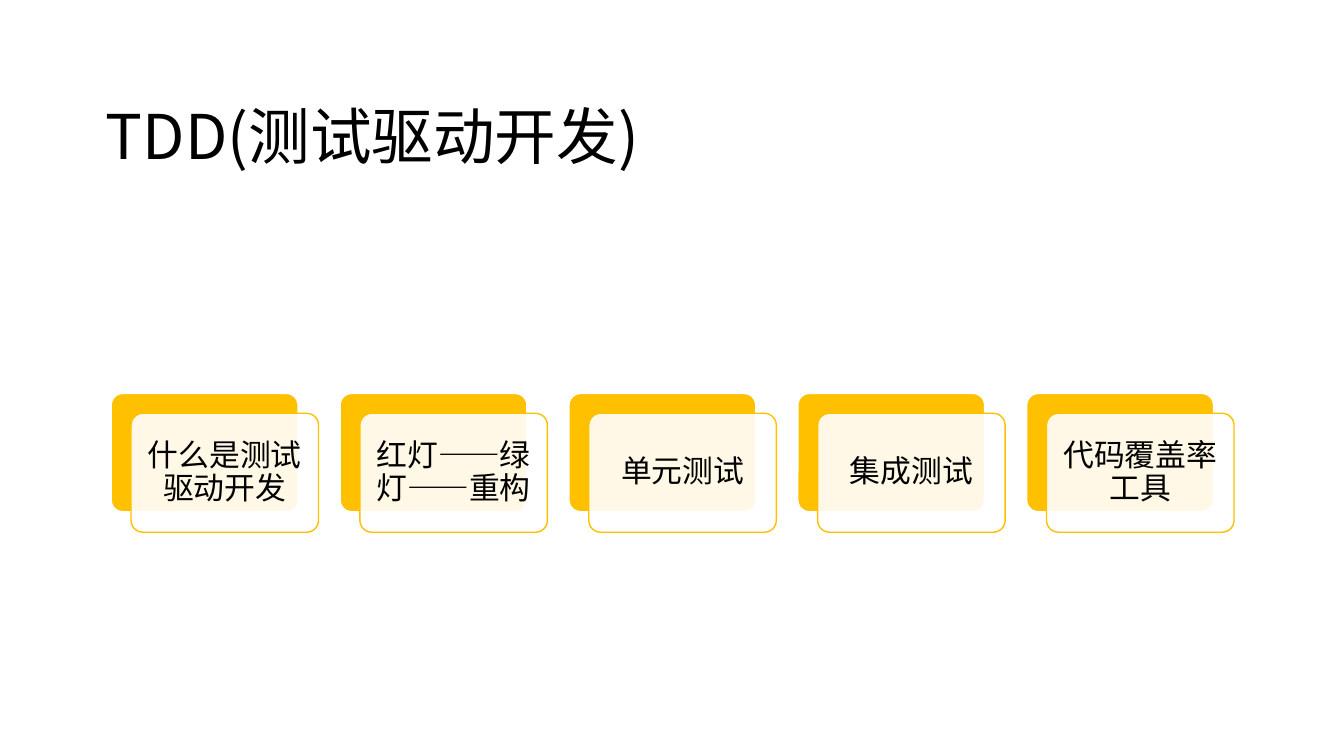
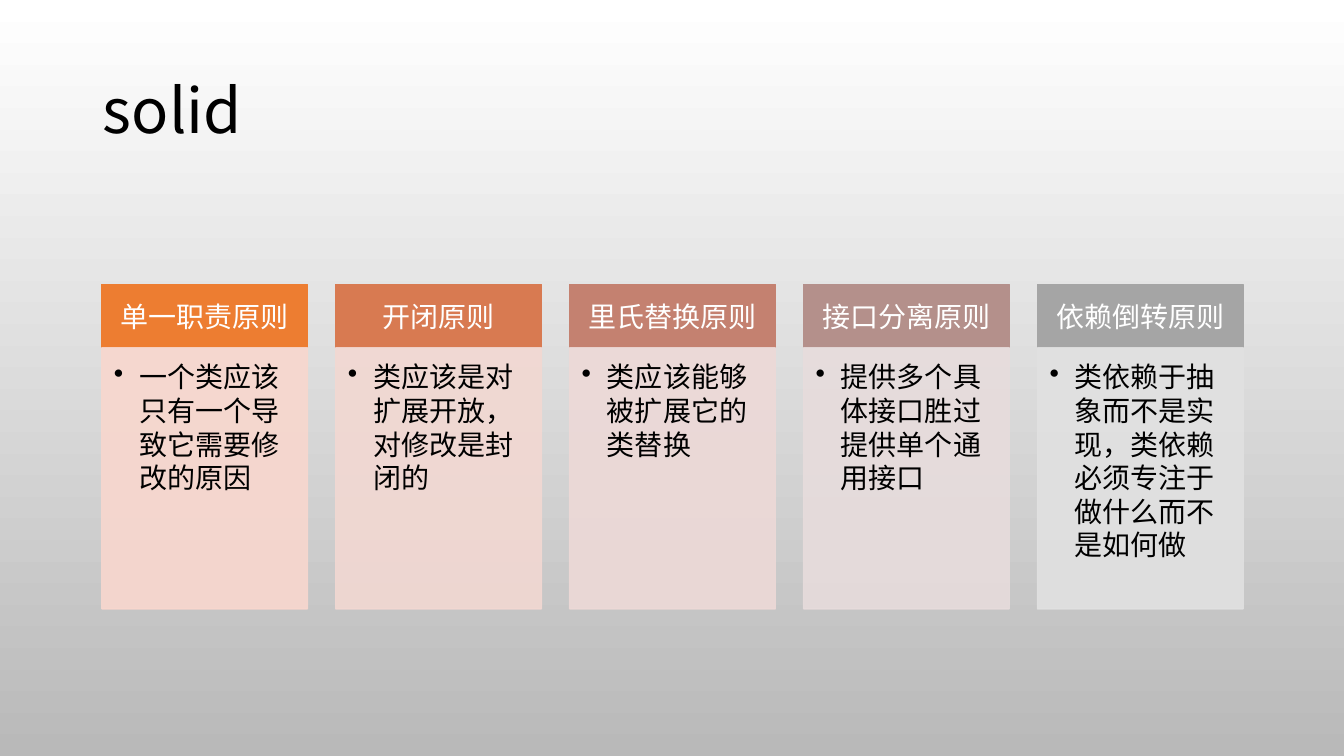
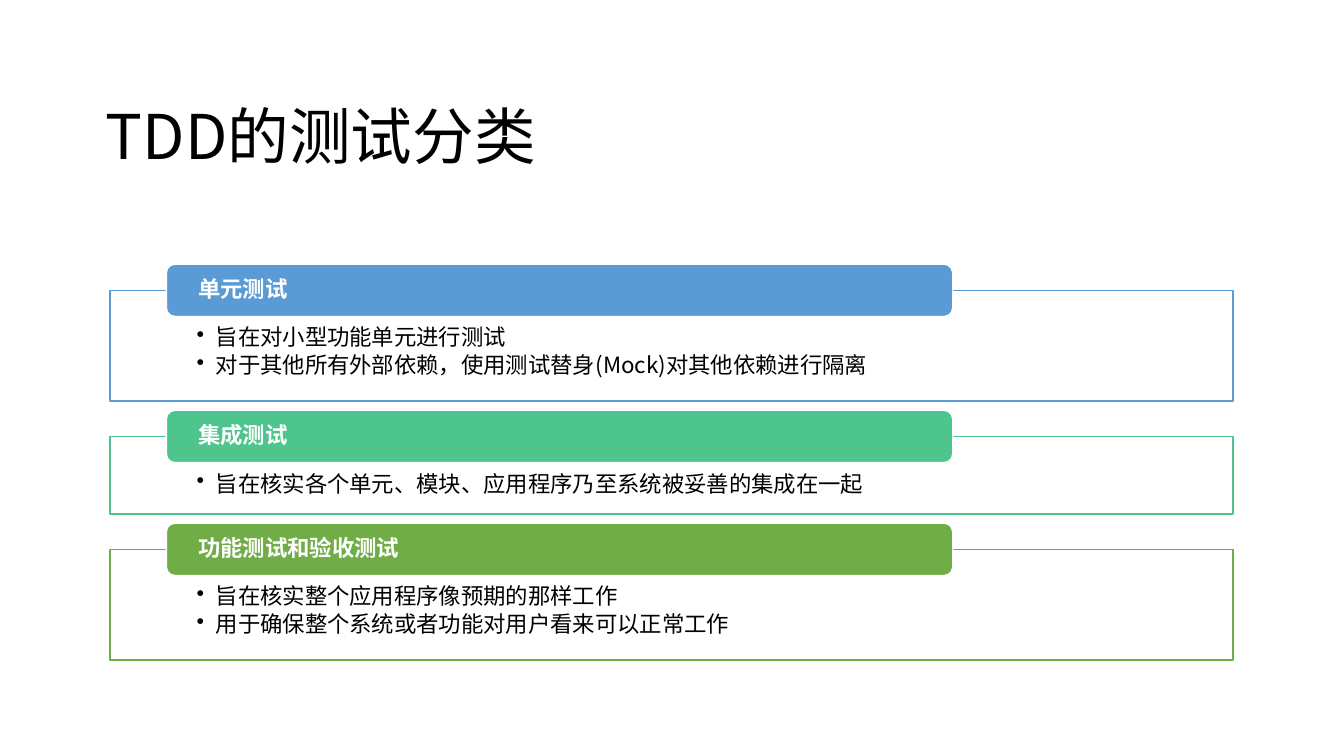
from pptx import Presentation
from pptx.dml.color import RGBColor
from pptx.enum.shapes import MSO_SHAPE as Shape
from pptx.enum.text import MSO_ANCHOR as Anchor, MSO_AUTO_SIZE as AutoSize, PP_ALIGN as Align
from pptx.oxml.ns import qn
from pptx.util import Inches, Pt
from lxml import etree

FONT = "Noto Sans CJK SC"
BLACK = RGBColor(0x00, 0x00, 0x00)
WHITE = RGBColor(0xFF, 0xFF, 0xFF)
SILVER = RGBColor(0xB9, 0xB9, 0xB9)
GOLD = RGBColor(0xFF, 0xC0, 0x00)
ORANGE = RGBColor(0xED, 0x7D, 0x31)
ORANGE_TINT = RGBColor(0xF8, 0xD7, 0xCE)
COPPER = RGBColor(0xD8, 0x7A, 0x51)
COPPER_TINT = RGBColor(0xF2, 0xD8, 0xD2)
ROSE = RGBColor(0xC4, 0x81, 0x70)
ROSE_TINT = RGBColor(0xED, 0xD9, 0xD7)
MAUVE = RGBColor(0xB4, 0x90, 0x8B)
MAUVE_TINT = RGBColor(0xE7, 0xDC, 0xDC)
GRAY = RGBColor(0xA5, 0xA5, 0xA5)
GRAY_TINT = RGBColor(0xE1, 0xE1, 0xE1)
BLUE = RGBColor(0x5B, 0x9B, 0xD5)
TEAL = RGBColor(0x4D, 0xC5, 0x8D)
GREEN = RGBColor(0x70, 0xAD, 0x47)


def add_block(slide, kind, box, fill, line, line_width=1, translucent_parts=0):
    """Add a shape; translucent_parts: 1 = fill, 2 = fill and line at 90 %."""
    shape = slide.shapes.add_shape(kind, *[Inches(length) for length in box])
    shape.shadow.inherit = False
    shape.fill.solid()
    shape.fill.fore_color.rgb = fill
    shape.line.color.rgb = line
    shape.line.width = Pt(line_width)
    colors = list(shape._element.spPr.iter(qn("a:srgbClr")))
    for color in colors[:translucent_parts]:
        etree.SubElement(color, qn("a:alpha")).set("val", "90000")
    return shape


def write_text(shape, lines, size, color, insets=(0.1, 0.05, 0.1, 0.05), align=Align.LEFT,
               anchor=Anchor.MIDDLE, spacing=0.9, bold=False, bullet_indent=None):
    frame = shape.text_frame
    frame.word_wrap = True
    frame.auto_size = AutoSize.NONE
    frame.vertical_anchor = anchor
    (frame.margin_left, frame.margin_top,
     frame.margin_right, frame.margin_bottom) = [Inches(inset) for inset in insets]
    frame.text = "\n".join(lines)
    for paragraph in frame.paragraphs:
        paragraph.alignment = align
        paragraph.line_spacing = spacing
        paragraph.font.name = FONT
        paragraph.font.size = Pt(size)
        paragraph.font.bold = bold
        paragraph.font.color.rgb = color
        properties = paragraph._p.get_or_add_pPr()
        defaults = properties.find(qn("a:defRPr"))
        etree.SubElement(defaults, qn("a:ea")).set("typeface", FONT)
        if bullet_indent:
            paragraph.space_after = Pt(0.15 * size)
            properties.set("marL", str(Inches(bullet_indent)))
            properties.set("indent", str(-Inches(bullet_indent)))
            bullet = etree.Element(qn("a:buChar"))
            bullet.set("char", "•")
            defaults.addprevious(bullet)


presentation = Presentation()
presentation.slide_width = Inches(13.33)
presentation.slide_height = Inches(7.5)

# Slides and their titles
TITLES = [
    ("TDD(测试驱动开发)", 0.95, 0.66, 11.43),
    ("solid", 0.92, 0.4, 11.5),
    ("TDD的测试分类", 0.95, 0.66, 11.43),
]
slides = []
for text, left, top, width in TITLES:
    slide = presentation.slides.add_slide(presentation.slide_layouts[5])
    title = slide.shapes.title
    title.left, title.top = Inches(left), Inches(top)
    title.width, title.height = Inches(width), Inches(1.45)
    write_text(title, [text], 44, BLACK)
    slides.append(slide)
topics_slide, principles_slide, tests_slide = slides

# Topics: a gold card behind each white card
TOPICS = ["什么是测试驱动开发", "红灯——绿灯——重构", "单元测试", "集成测试", "代码覆盖率工具"]
for index, topic in enumerate(TOPICS):
    left = 1.1 + 2.27 * index
    back = add_block(topics_slide, Shape.ROUNDED_RECTANGLE, (left, 3.9, 1.86, 1.18),
                     GOLD, WHITE, line_width=1.5)
    front = add_block(topics_slide, Shape.ROUNDED_RECTANGLE, (left + 0.2, 4.1, 1.86, 1.18),
                      WHITE, GOLD, translucent_parts=1)
    back.adjustments[0] = front.adjustments[0] = 0.1
    write_text(front, [topic], 22, BLACK, insets=(0.09,) * 4, align=Align.CENTER)

# Principles: gradient background and five columns
background = principles_slide.background.fill
background.gradient()
background.gradient_angle = 270
for stop, color in zip(background.gradient_stops, (WHITE, SILVER)):
    stop.color.rgb = color

PRINCIPLES = [
    ("单一职责原则", "一个类应该只有一个导致它需要修改的原因", ORANGE, ORANGE_TINT),
    ("开闭原则", "类应该是对扩展开放，对修改是封闭的", COPPER, COPPER_TINT),
    ("里氏替换原则", "类应该能够被扩展它的类替换", ROSE, ROSE_TINT),
    ("接口分离原则", "提供多个具体接口胜过提供单个通用接口", MAUVE, MAUVE_TINT),
    ("依赖倒转原则", "类依赖于抽象而不是实现，类依赖必须专注于做什么而不是如何做", GRAY, GRAY_TINT),
]
for index, (name, meaning, color, tint) in enumerate(PRINCIPLES):
    left = 1.01 + 2.32 * index
    header = add_block(principles_slide, Shape.RECTANGLE, (left, 2.82, 2.04, 0.63), color, color)
    write_text(header, [name], 20, WHITE, insets=(0.16, 0.09, 0.16, 0.09),
               align=Align.CENTER, spacing=1.0)
    body = add_block(principles_slide, Shape.RECTANGLE, (left, 3.45, 2.04, 2.59), tint, tint,
                     translucent_parts=2)
    write_text(body, [meaning], 20, BLACK, insets=(0.12, 0.12, 0.16, 0.17),
               anchor=Anchor.TOP, spacing=1.0, bullet_indent=0.25)

# Test types: framed lists, each with a tab over its top edge
TEST_TYPES = [
    ("单元测试", BLUE, ["旨在对小型功能单元进行测试",
                    "对于其他所有外部依赖，使用测试替身(Mock)对其他依赖进行隔离"]),
    ("集成测试", TEAL, ["旨在核实各个单元、模块、应用程序乃至系统被妥善的集成在一起"]),
    ("功能测试和验收测试", GREEN, ["旨在核实整个应用程序像预期的那样工作",
                          "用于确保整个系统或者功能对用户看来可以正常工作"]),
]
top = 2.62
for name, color, aims in TEST_TYPES:
    height = 0.44 + 0.33 * len(aims)
    panel = add_block(tests_slide, Shape.RECTANGLE, (1.09, top + 0.26, 11.14, height),
                      WHITE, color, translucent_parts=1)
    write_text(panel, aims, 16, BLACK, insets=(0.86, 0.36, 0.86, 0.12),
               anchor=Anchor.TOP, bullet_indent=0.19)
    tab = add_block(tests_slide, Shape.ROUNDED_RECTANGLE, (1.65, top, 7.8, 0.52), color, WHITE)
    write_text(tab, [name], 16, WHITE, insets=(0.29, 0, 0.29, 0), bold=True)
    top += 0.26 + height + 0.09

presentation.save("out.pptx")
